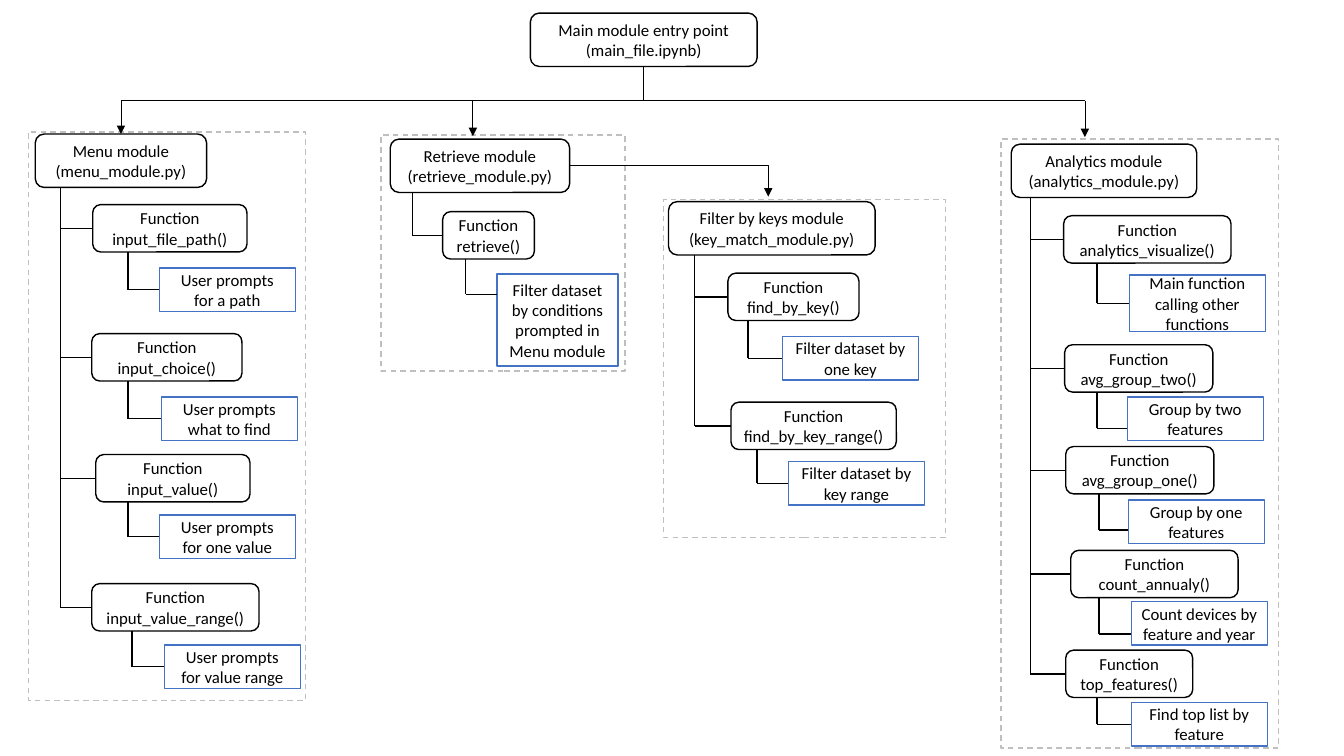
import pptx
import pptx.dml.color
import pptx.enum.dml
import pptx.enum.shapes
import pptx.enum.text
import pptx.oxml
import pptx.oxml.ns
import pptx.util

EMU_PER_PX = 9144  # 100 px to the inch
BLACK, WHITE, BLUE, GREY = "000000", "FFFFFF", "4472C4", "BFBFBF"
TOP, LEFT, BOTTOM, RIGHT = range(4)
BUS_Y = 100
THIN = 0.5

MAIN = ("Main module entry point\n(main_file.ipynb)", (526, 13, 225, 53))

# Each function: name, box, x of its drop line, detail text, detail box,
# y of the detail line (None joins the middle of the detail box).
MODULES = {
    "menu": {
        "frame": (28, 131, 275, 564),
        "header": ("Menu module\n(menu_module.py)", (35, 133, 170, 53)),
        "trunk": 60,
        "functions": [
            ("input_file_path()", (92, 203, 153, 47), 127,
             "User prompts for a path", (158, 266, 135, 43), None),
            ("input_choice()", (91, 331, 149, 47), 127,
             "User prompts what to find", (160, 394, 135, 43), None),
            ("input_value()", (95, 451, 153, 47), 127,
             "User prompts for one value", (158, 511, 135, 43), None),
            ("input_value_range()", (91, 579, 166, 47), 131,
             "User prompts for value range", (163, 640, 135, 43), None),
        ],
    },
    "retrieve": {
        "frame": (378, 134, 242, 234),
        "header": ("Retrieve module\n(retrieve_module.py)", (387, 138, 178, 53)),
        "trunk": 409,
        "functions": [
            ("retrieve()", (439, 210, 91, 47), 462,
             "Filter dataset by conditions prompted in Menu module",
             (493, 272, 120, 91), 292),
        ],
    },
    "filter": {
        "frame": (658, 198, 280, 335),
        "header": ("Filter by keys module\n(key_match_module.py)", (663, 200, 205, 53)),
        "trunk": 689,
        "functions": [
            ("find_by_key()", (722, 271, 130, 47), 742,
             "Filter dataset by one key", (776, 334, 135, 43), None),
            ("find_by_key_range()", (725, 399, 164, 47), 751,
             "Filter dataset by key range", (782, 458, 135, 43), None),
        ],
    },
    "analytics": {
        "frame": (993, 138, 275, 604),
        "header": ("Analytics module\n(analytics_module.py)", (1003, 143, 184, 53)),
        "trunk": 1022,
        "functions": [
            ("analytics_visualize()", (1055, 214, 166, 47), 1088,
             "Main function calling other functions", (1120, 273, 135, 56), None),
            ("avg_group_two()", (1056, 342, 147, 47), 1088,
             "Group by two features", (1118, 394, 135, 43), 425),
            ("avg_group_one()", (1057, 443, 147, 47), 1090,
             "Group by one features", (1119, 496, 135, 43), 526),
            ("count_annualy()", (1062, 546, 166, 47), 1090,
             "Count devices by feature and year", (1122, 597, 135, 43), 629),
            ("top_features()", (1057, 645, 126, 47), 1088,
             "Find top list by feature", (1122, 697, 135, 43), None),
        ],
    },
}


def px(length):
    return pptx.util.Emu(length * EMU_PER_PX)


def color(hex_string):
    return pptx.dml.color.RGBColor.from_string(hex_string)


def middle_x(shape):
    return shape.left + shape.width // 2


def middle_y(shape):
    return shape.top + shape.height // 2


def add_outline(slide, kind, bounds, line_color):
    shape = slide.shapes.add_shape(kind, *map(px, bounds))
    shape.shadow.inherit = False
    shape.line.color.rgb = color(line_color)
    shape.line.width = pptx.util.Pt(1)
    return shape


def add_frame(slide, bounds):
    frame = add_outline(slide, pptx.enum.shapes.MSO_SHAPE.RECTANGLE, bounds, GREY)
    frame.fill.background()
    frame.line.dash_style = pptx.enum.dml.MSO_LINE.DASH


def add_text_box(slide, kind, text, bounds, line_color, wrap):
    box = add_outline(slide, kind, bounds, line_color)
    box.fill.solid()
    box.fill.fore_color.rgb = color(WHITE)
    text_frame = box.text_frame
    text_frame.text = text
    text_frame.word_wrap = wrap
    text_frame.vertical_anchor = pptx.enum.text.MSO_ANCHOR.MIDDLE
    for paragraph in text_frame.paragraphs:
        paragraph.alignment = pptx.enum.text.PP_ALIGN.CENTER
        for run in paragraph.runs:
            run.font.name = "Calibri"
            run.font.size = pptx.util.Pt(12)
            run.font.color.rgb = color(BLACK)
    return box


def add_node(slide, text, bounds):
    """Add a rounded box for a module or a function."""
    kind = pptx.enum.shapes.MSO_SHAPE.ROUNDED_RECTANGLE
    return add_text_box(slide, kind, text, bounds, BLACK, False)


def add_detail(slide, text, bounds):
    kind = pptx.enum.shapes.MSO_SHAPE.RECTANGLE
    return add_text_box(slide, kind, text, bounds, BLUE, True)


def add_line(slide, start, end, width=1, arrow=False, bent=False):
    """Add a connector between two points in EMU; a bent one turns once."""
    kinds = pptx.enum.shapes.MSO_CONNECTOR
    kind = kinds.ELBOW if bent else kinds.STRAIGHT
    connector = slide.shapes.add_connector(kind, *start, *end)
    connector.line.color.rgb = color(BLACK)
    connector.line.width = pptx.util.Pt(width)
    properties = connector._element.spPr
    if bent:
        properties.find(pptx.oxml.ns.qn("a:prstGeom")).set("prst", "bentConnector2")
    if arrow:
        outline = properties.find(pptx.oxml.ns.qn("a:ln"))
        tail = pptx.oxml.parse_xml(
            f'<a:tailEnd {pptx.oxml.ns.nsdecls("a")} type="triangle"/>')
        outline.append(tail)
    effects = pptx.oxml.parse_xml(f'<a:effectLst {pptx.oxml.ns.nsdecls("a")}/>')
    properties.append(effects)
    return connector


def add_function(slide, trunk_x, name, bounds, drop_x, detail_text, detail_bounds, detail_y):
    """Add a function with its branch and detail, and return its box."""
    function = add_node(slide, f"Function\n{name}", bounds)
    detail = add_detail(slide, detail_text, detail_bounds)
    branch_y = middle_y(function)
    branch = add_line(slide, (px(trunk_x), branch_y), (function.left, branch_y))
    branch.end_connect(function, LEFT)
    turn_y = px(detail_y) if detail_y else middle_y(detail)
    turn = (px(drop_x), turn_y)
    add_line(slide, (px(drop_x), function.top + function.height), turn)
    detail_line = add_line(slide, turn, (detail.left, turn_y))
    if detail_y is None:
        detail_line.end_connect(detail, LEFT)
    return function


def add_module(slide, frame, header, trunk, functions):
    """Add a framed module tree and return its header box."""
    add_frame(slide, frame)
    module = add_node(slide, *header)
    boxes = [add_function(slide, trunk, *function) for function in functions]
    add_line(slide, (px(trunk), module.top + module.height),
             (px(trunk), middle_y(boxes[-1])))
    return module


def add_module_links(slide, main_box, headers):
    stem_x = middle_x(main_box)
    stem = add_line(slide, (stem_x, main_box.top + main_box.height),
                    (stem_x, px(BUS_Y)), THIN)
    stem.begin_connect(main_box, BOTTOM)
    menu, retrieve = headers["menu"], headers["retrieve"]
    bus = add_line(slide, (px(1076), px(BUS_Y)), (middle_x(menu), menu.top),
                   THIN, arrow=True, bent=True)
    bus.end_connect(menu, TOP)
    for x, end_y in ((469, 135), (1076, 136)):
        add_line(slide, (px(x), px(BUS_Y)), (px(x), px(end_y)), THIN, arrow=True)
    filter_link = add_line(slide, (retrieve.left + retrieve.width, middle_y(retrieve)),
                           (px(762), px(195)), THIN, arrow=True, bent=True)
    filter_link.begin_connect(retrieve, RIGHT)


def main():
    presentation = pptx.Presentation()
    presentation.slide_width = px(1333)
    presentation.slide_height = px(750)
    slide = presentation.slides.add_slide(presentation.slide_layouts[6])
    main_box = add_node(slide, *MAIN)
    headers = {name: add_module(slide, **module) for name, module in MODULES.items()}
    add_module_links(slide, main_box, headers)
    presentation.save("out.pptx")


if __name__ == "__main__":
    main()
